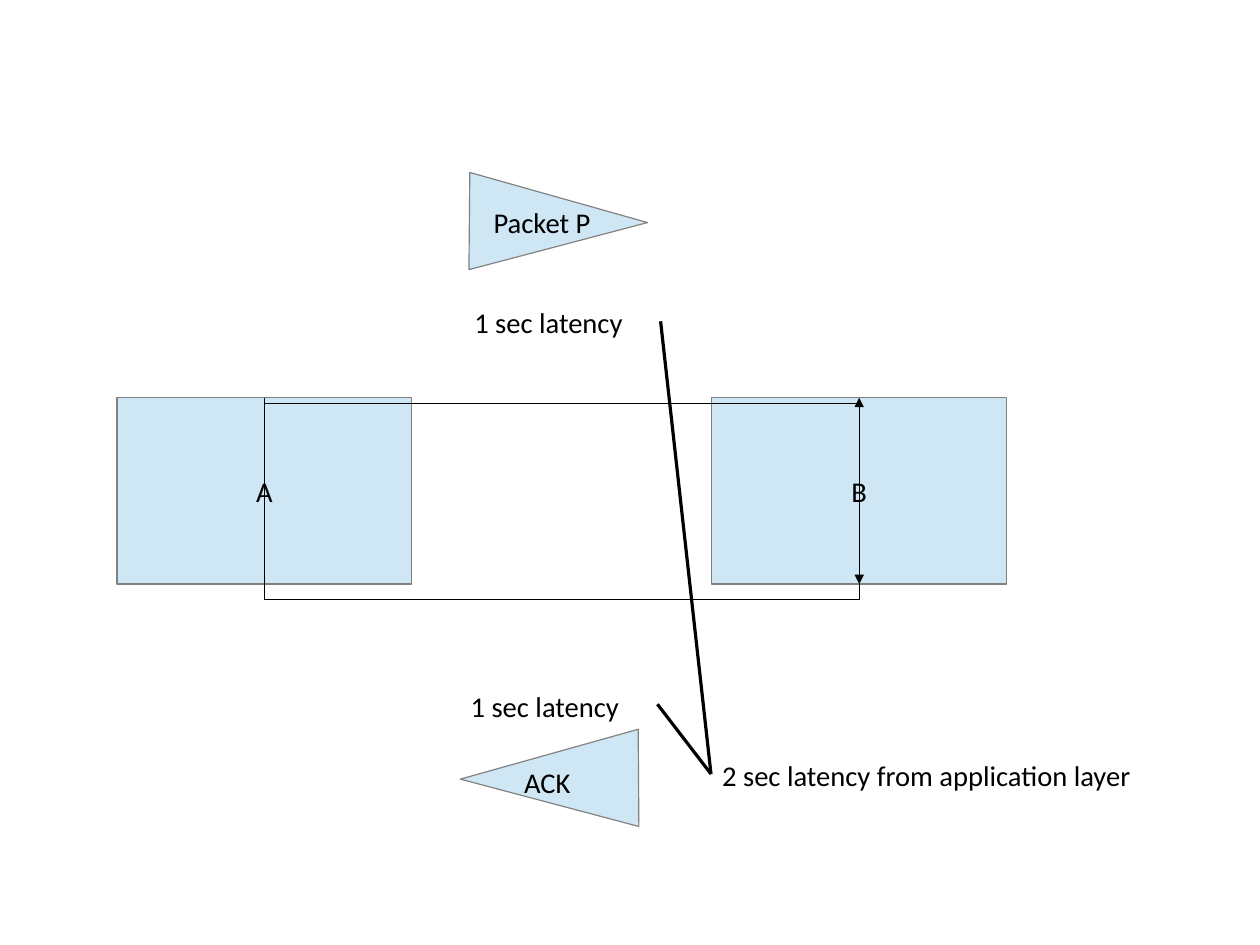
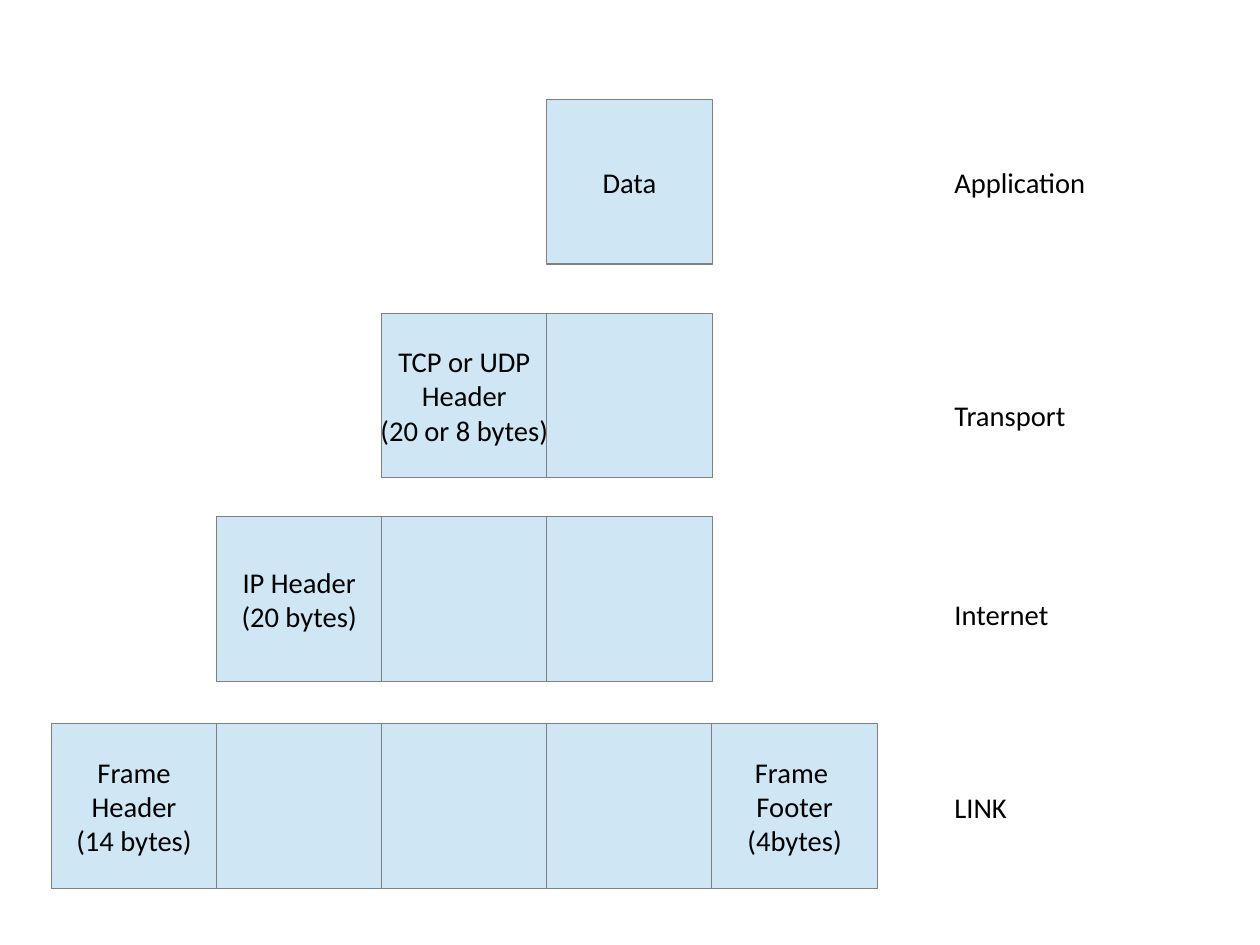
from lxml import etree
from pptx import Presentation
from pptx.dml.color import RGBColor
from pptx.enum.shapes import MSO_CONNECTOR, MSO_SHAPE
from pptx.enum.text import MSO_ANCHOR, MSO_AUTO_SIZE, PP_ALIGN
from pptx.oxml.ns import qn
from pptx.util import Cm, Pt

RECT = MSO_SHAPE.RECTANGLE
TRIANGLE = MSO_SHAPE.ISOSCELES_TRIANGLE
STRAIGHT = MSO_CONNECTOR.STRAIGHT
MIDDLE, TOP = MSO_ANCHOR.MIDDLE, MSO_ANCHOR.TOP
CENTER, LEFT = PP_ALIGN.CENTER, PP_ALIGN.LEFT
FIT_SHAPE = MSO_AUTO_SIZE.SHAPE_TO_FIT_TEXT

PALE_BLUE = RGBColor(0xCF, 0xE7, 0xF5)
GRAY = RGBColor(0x80, 0x80, 0x80)
BLACK = RGBColor(0, 0, 0)
FONT = "Calibri"
LABEL_H = 1.12


def set_text(tf, lines, align, anchor):
    tf.word_wrap = False
    tf.vertical_anchor = anchor
    for i, line in enumerate(lines):
        p = tf.add_paragraph() if i else tf.paragraphs[0]
        p.text = line
        p.alignment = align
        p.font.name = FONT
        p.font.size = Pt(18)
        p.font.color.rgb = BLACK


def add_block(s, kind, x, y, w, h, lines=()):
    sp = s.shapes.add_shape(kind, Cm(x), Cm(y), Cm(w), Cm(h))
    sp.shadow.inherit = False
    sp.fill.solid()
    sp.fill.fore_color.rgb = PALE_BLUE
    sp.line.color.rgb = GRAY
    sp.line.width = 0
    set_text(sp.text_frame, lines, CENTER, MIDDLE)
    return sp


def add_label(s, x, y, w, text):
    tb = s.shapes.add_textbox(Cm(x), Cm(y), Cm(w), Cm(LABEL_H))
    set_text(tb.text_frame, [text], LEFT, TOP)
    tb.text_frame.auto_size = FIT_SHAPE


def add_line(s, x1, y1, x2, y2):
    c = s.shapes.add_connector(STRAIGHT, Cm(x1), Cm(y1), Cm(x2), Cm(y2))
    c.line.color.rgb = BLACK
    c.line.width = 0
    etree.SubElement(c._element.spPr, qn("a:effectLst"))


def add_bent_arrow(s, points):
    points = [(Cm(x), Cm(y)) for x, y in points]
    builder = s.shapes.build_freeform(*points[0])
    builder.add_line_segments(points[1:], close=False)
    sp = builder.convert_to_shape()
    sp.shadow.inherit = False
    sp.fill.background()
    sp.line.color.rgb = BLACK
    sp.line.width = 0
    etree.SubElement(sp.line._get_or_add_ln(), qn("a:tailEnd"), type="triangle")


def add_hosts(s, x, y, w, h, host_w):
    for name, host_x in (("A", x), ("B", x + w - host_w)):
        add_block(s, RECT, host_x, y, host_w, h, [name])
    start, end = x + host_w / 2, x + w - host_w / 2
    for edge, turn in ((y, y + h + 0.34), (y + h, y + 0.13)):
        add_bent_arrow(s, [(start, edge), (start, turn), (end, turn), (end, edge)])


def add_message(s, x, y, rotation, caption, caption_at, latency_at):
    sp = add_block(s, TRIANGLE, x, y, 2.16, 3.96)
    sp.rotation = rotation
    dx, dy, w = caption_at
    add_label(s, x + dx, y + dy, w, caption)
    dx, dy = latency_at
    add_label(s, x + dx, y + dy, 4.39, "1 sec latency")


def add_total_latency(s, x, y, sources):
    add_label(s, x, y, 11.28, "2 sec latency from application layer")
    for source_x, source_y in sources:
        add_line(s, source_x, source_y, x, y + 0.49)


def add_layer(s, x, y, pitch, first, cells, name, name_dy):
    for i, lines in enumerate(cells, first):
        add_block(s, RECT, x + i * pitch, y, 3.68, 3.66, lines)
    add_label(s, x + 19.82, y + name_dy, 3.5, name)


def latency_slide(prs):
    s = prs.slides.add_slide(prs.slide_layouts[6])
    add_hosts(s, 2.6, 8.84, 19.77, 4.14, 6.55)
    add_message(s, 11.33, 2.95, 90.5, "Packet P", (-0.61, 1.47, 3.07), (-1.04, 3.7))
    add_message(s, 11.13, 15.32, 269.6, "ACK", (0.27, 1.55, 1.78), (-0.92, -0.13))
    add_total_latency(s, 15.8, 16.71, [(14.68, 7.14), (14.61, 15.65)])


def encapsulation_slide(prs):
    s = prs.slides.add_slide(prs.slide_layouts[6])
    layers = [
        (2.21, 3, [["Data"]], "Application", 1.32),
        (6.96, 2, [["TCP or UDP", "Header", "(20 or 8 bytes)"], []], "Transport", 1.75),
        (11.48, 1, [["IP Header", "(20 bytes)"], [], []], "Internet", 1.65),
        (16.08, 0, [["Frame", "Header", "(14 bytes)"], [], [], [],
                    ["Frame ", "Footer", "(4bytes)"]], "LINK", 1.34),
    ]
    for y, first, cells, name, name_dy in layers:
        add_layer(s, 1.14, y, 3.67, first, cells, name, name_dy)


def main():
    prs = Presentation()
    prs.slide_width, prs.slide_height = Cm(28), Cm(21)
    latency_slide(prs)
    encapsulation_slide(prs)
    prs.save("out.pptx")


if __name__ == "__main__":
    main()
